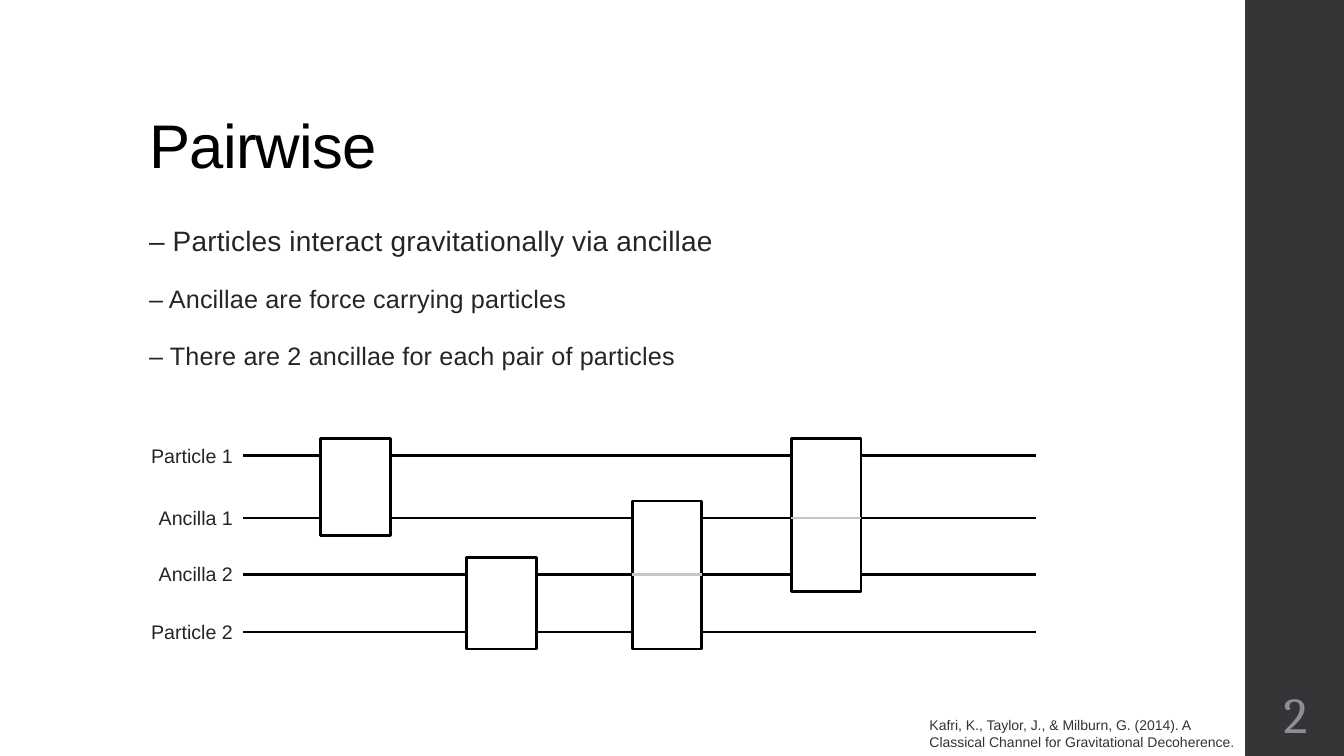
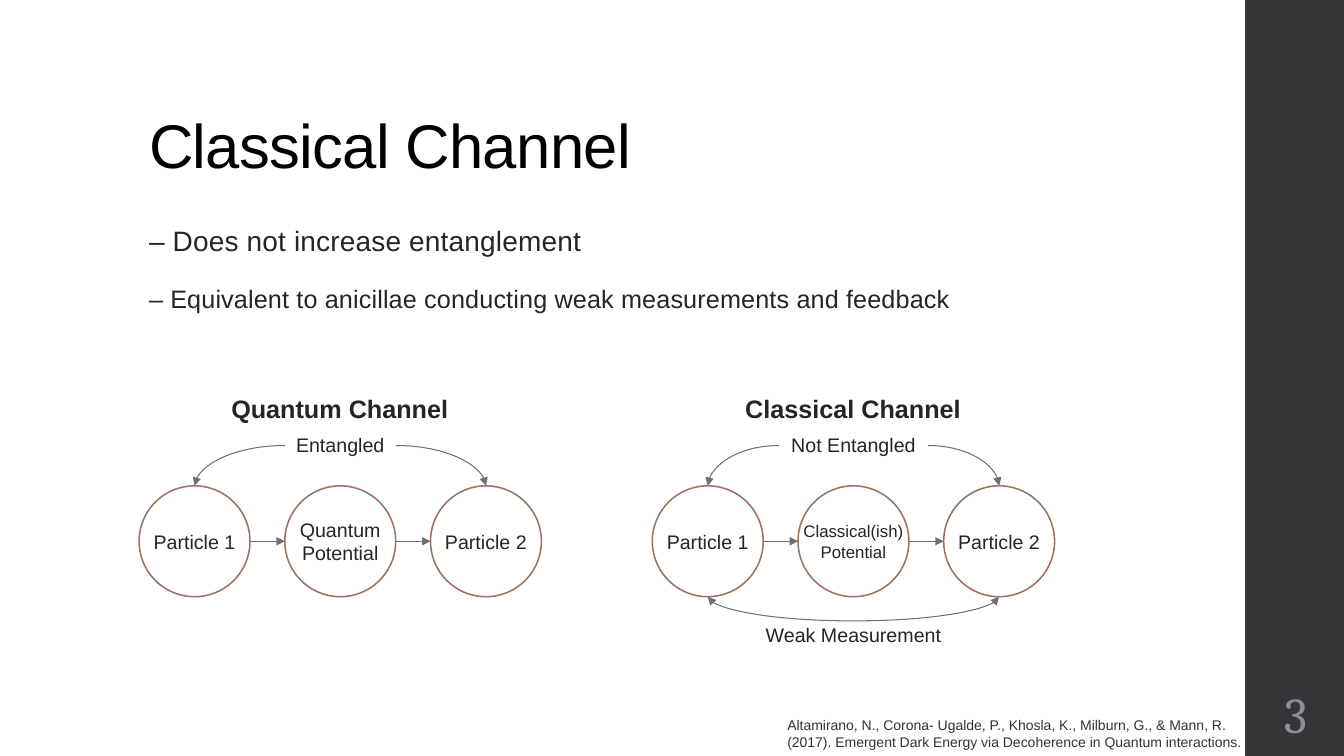
from lxml import etree
from pptx import Presentation
from pptx.dml.color import RGBColor
from pptx.enum.shapes import MSO_CONNECTOR, MSO_SHAPE
from pptx.enum.text import MSO_ANCHOR, PP_ALIGN
from pptx.oxml.ns import qn
from pptx.util import Inches, Pt

STRAIGHT, CURVE = MSO_CONNECTOR.STRAIGHT, MSO_CONNECTOR.CURVE
RECTANGLE, OVAL = MSO_SHAPE.RECTANGLE, MSO_SHAPE.OVAL
LEFT, CENTER, RIGHT = PP_ALIGN.LEFT, PP_ALIGN.CENTER, PP_ALIGN.RIGHT
TOP, MIDDLE, BOTTOM = MSO_ANCHOR.TOP, MSO_ANCHOR.MIDDLE, MSO_ANCHOR.BOTTOM

BAND, BLACK, WHITE = "353537", "000000", "FFFFFF"
TEXT, CITATION, NUMBER = "252525", "333333", "8E8E94"
FAINT, RING, ARROW = "C5C5C8", "9B7362", "6F6F74"
BODY_FONT, NUMBER_FONT = "Arial", "Cambria"

MARGIN = 1.38
BAND_LEFT = 12.35

WIRE_START, WIRE_END = 2.41, 10.28
GATE_WIDTH, GATE_OVERHANG = 0.69, 0.17
WIRES = [("Particle 1", 4.52), ("Ancilla 1", 5.14),
         ("Ancilla 2", 5.7), ("Particle 2", 6.27)]
GATES = [(3.18, 0, 1), (4.63, 2, 3), (6.27, 1, 3), (7.85, 0, 2)]

CIRCLE_SIZE, CIRCLE_TOP, PARTICLE_SPAN = 1.1, 4.82, 2.89
STATE_Y = 4.42
MEASUREMENT_Y = 6.16


def color(value):
    return RGBColor.from_string(value)


def set_text(text_frame, lines, size, text_color=TEXT, font=BODY_FONT,
             align=LEFT, bold=False, spacing=0):
    text_frame.text = "\n".join(lines)
    for paragraph in text_frame.paragraphs:
        paragraph.alignment = align
        for run in paragraph.runs:
            run.font.size = Pt(size)
            run.font.name = font
            run.font.bold = bold
            run.font.color.rgb = color(text_color)
            if spacing:
                run.font._element.set("spc", str(spacing))


def add_text(slide, box, lines, size, anchor=TOP, **style):
    text_box = slide.shapes.add_textbox(*map(Inches, box))
    text_frame = text_box.text_frame
    text_frame.word_wrap = True
    text_frame.vertical_anchor = anchor
    set_text(text_frame, lines, size, **style)
    return text_frame


def add_shape(slide, kind, box, fill, line=None, line_width=1):
    shape = slide.shapes.add_shape(kind, *map(Inches, box))
    shape.shadow.inherit = False
    shape.fill.solid()
    shape.fill.fore_color.rgb = color(fill)
    if line:
        shape.line.color.rgb = color(line)
        shape.line.width = Pt(line_width)
    else:
        shape.line.fill.background()
    return shape


def add_line(slide, start, end, line_color, width, kind=STRAIGHT, arrow=False):
    connector = slide.shapes.add_connector(kind, *map(Inches, (*start, *end)))
    connector.line.color.rgb = color(line_color)
    connector.line.width = Pt(width)
    properties = connector._element.spPr
    if arrow:
        tail = etree.SubElement(properties.find(qn("a:ln")), qn("a:tailEnd"))
        tail.set("type", "triangle")
    etree.SubElement(properties, qn("a:effectLst"))
    return connector


def add_arrow(slide, start, end):
    add_line(slide, start, end, ARROW, 0.75, arrow=True)


def add_arc(slide, start, end):
    connector = add_line(slide, start, end, ARROW, 0.75, CURVE, arrow=True)
    geometry = connector._element.spPr.find(qn("a:prstGeom"))
    geometry.set("prst", "curvedConnector2")


def add_arc_pair(slide, center, gap, start_y, end_y):
    for side in (-1, 1):
        add_arc(slide, (center + side * gap / 2, start_y),
                (center + side * PARTICLE_SPAN / 2, end_y))


def add_base(presentation, number, title, bullets, citation, citation_box):
    slide = presentation.slides.add_slide(presentation.slide_layouts[6])
    add_shape(slide, RECTANGLE, (BAND_LEFT, 0, 1, 7.5), BAND)
    heading = add_text(slide, (MARGIN, 0.4, 10.6, 1.45), [title], 44, BOTTOM,
                       text_color=BLACK, spacing=-50)
    heading.paragraphs[0].line_spacing = 0.9
    body = add_text(slide, (MARGIN, 2, 9.4, 1.9), bullets, 18, spacing=10)
    for index, paragraph in enumerate(body.paragraphs):
        paragraph.line_spacing = 1.5
        paragraph.space_before = Pt(6 if index else 0)
        paragraph.space_after = Pt(2)
    body.paragraphs[0].runs[0].font.size = Pt(20)
    add_text(slide, citation_box, [citation], 10, text_color=CITATION)
    add_text(slide, (BAND_LEFT, 6.75, 1, 0.65), [number], 36, MIDDLE,
             text_color=NUMBER, font=NUMBER_FONT, align=CENTER)
    return slide


def add_circuit(slide):
    for name, y in WIRES:
        add_line(slide, (WIRE_START, y), (WIRE_END, y), BLACK, 2)
        add_text(slide, (MARGIN - 0.1, y - 0.17, WIRE_START - MARGIN + 0.1, 0.34),
                 [name], 14, align=RIGHT)
    for left, first, last in GATES:
        top = WIRES[first][1] - GATE_OVERHANG
        height = WIRES[last][1] + GATE_OVERHANG - top
        add_shape(slide, RECTANGLE, (left, top, GATE_WIDTH, height),
                  WHITE, BLACK, 2)
        for _, y in WIRES[first + 1:last]:
            add_line(slide, (left, y), (left + GATE_WIDTH, y), FAINT, 2)


def add_circle(slide, left, lines, size):
    circle = add_shape(slide, OVAL, (left, CIRCLE_TOP, CIRCLE_SIZE, CIRCLE_SIZE),
                       WHITE, RING, 1.1)
    text_frame = circle.text_frame
    text_frame.word_wrap = False
    text_frame.vertical_anchor = MIDDLE
    text_frame.margin_left = text_frame.margin_right = 0
    set_text(text_frame, lines, size, align=CENTER)


def add_channel(slide, left, title, state, state_width, potential, potential_size):
    pitch = PARTICLE_SPAN / 2
    center = left + pitch + CIRCLE_SIZE / 2
    middle_y = CIRCLE_TOP + CIRCLE_SIZE / 2
    add_text(slide, (center - 1.28, 3.85, 2.55, 0.4), [title], 18,
             align=CENTER, bold=True)
    add_text(slide, (center - state_width / 2, STATE_Y - 0.17, state_width, 0.34),
             [state], 14, align=CENTER)
    circles = [(["Particle 1"], 14), ([potential, "Potential"], potential_size),
               (["Particle 2"], 14)]
    for index, (lines, size) in enumerate(circles):
        circle_left = left + index * pitch
        add_circle(slide, circle_left, lines, size)
        if index:
            add_arrow(slide, (circle_left - pitch + CIRCLE_SIZE, middle_y),
                      (circle_left, middle_y))
    add_arc_pair(slide, center, state_width, STATE_Y, CIRCLE_TOP)
    return center


def add_measurement(slide, center):
    add_arc_pair(slide, center, 0, MEASUREMENT_Y, CIRCLE_TOP + CIRCLE_SIZE)
    add_text(slide, (center - 0.99, 6.13, 1.98, 0.34), ["Weak Measurement"], 14,
             align=CENTER)


def main():
    presentation = Presentation()
    presentation.slide_width = Inches(13.33)
    presentation.slide_height = Inches(7.5)

    pairwise = add_base(
        presentation, "2", "Pairwise",
        ["– Particles interact gravitationally via ancillae",
         "– Ancillae are force carrying particles",
         "– There are 2 ancillae for each pair of particles"],
        "Kafri, K., Taylor, J., & Milburn, G. (2014). A Classical Channel for "
        "Gravitational Decoherence.",
        (9.12, 7.06, 3.32, 0.44))
    add_circuit(pairwise)

    channels = add_base(
        presentation, "3", "Classical Channel",
        ["– Does not increase entanglement",
         "– Equivalent to anicillae conducting weak measurements and feedback"],
        "Altamirano, N., Corona- Ugalde, P., Khosla, K., Milburn, G., & Mann, R. "
        "(2017). Emergent Dark Energy via Decoherence in Quantum interactions.",
        (7.71, 7.06, 4.82, 0.44))
    add_channel(channels, MARGIN, "Quantum Channel", "Entangled", 1.1, "Quantum", 14)
    center = add_channel(channels, 6.47, "Classical Channel", "Not Entangled", 1.48,
                         "Classical(ish)", 12)
    add_measurement(channels, center)

    presentation.save("out.pptx")


if __name__ == "__main__":
    main()
